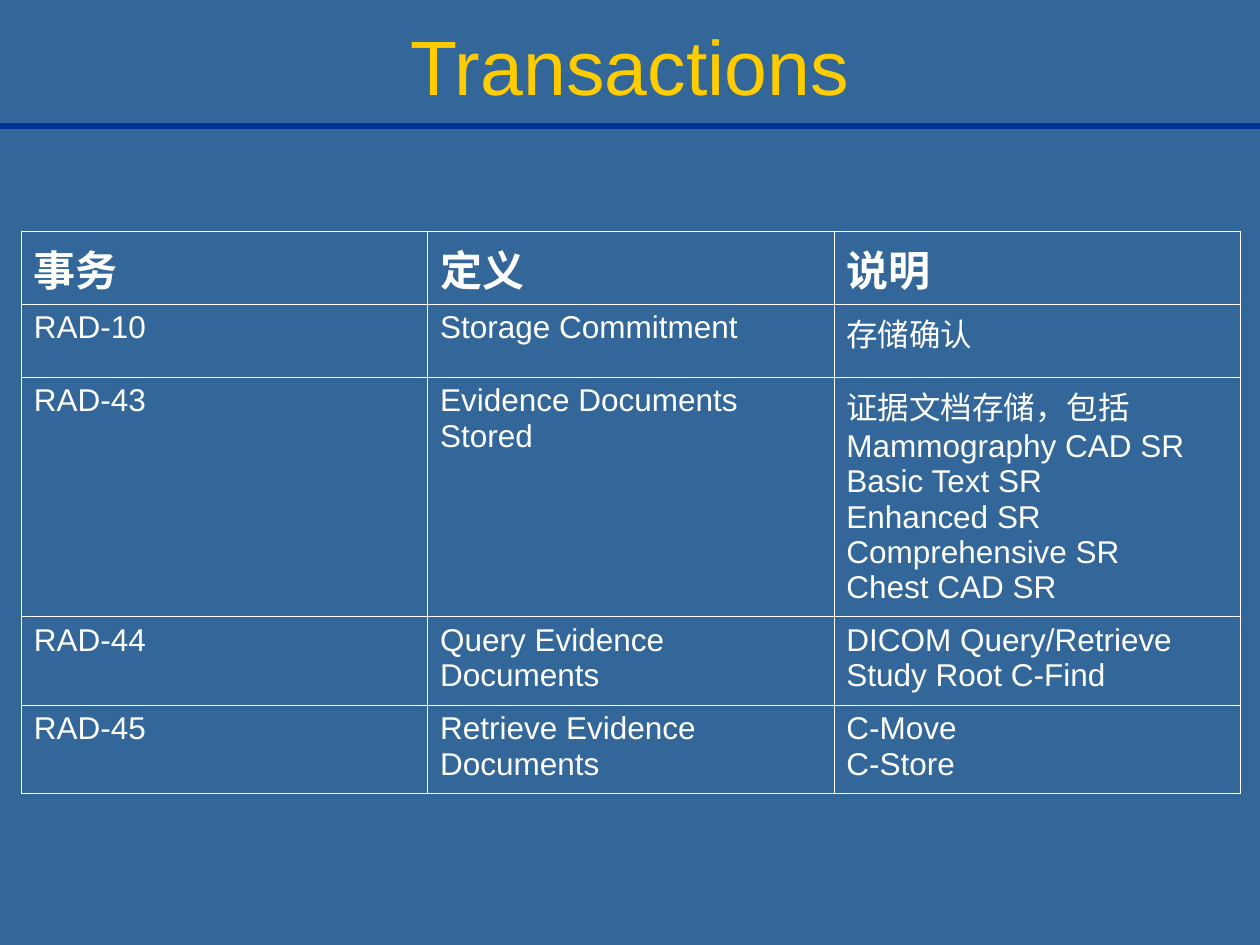
"""Build the Transactions slide: a title, a rule and a table of RAD transactions."""
import lxml.etree
import pptx
import pptx.dml.color
import pptx.enum.shapes
import pptx.enum.text
import pptx.oxml.ns
import pptx.util

Cm, Pt = pptx.util.Cm, pptx.util.Pt
qn = pptx.oxml.ns.qn
PP_ALIGN = pptx.enum.text.PP_ALIGN
MSO_ANCHOR = pptx.enum.text.MSO_ANCHOR

TITLE = "Transactions"
HEADER = ["事务", "定义", "说明"]
ROWS = [
    ["RAD-10", "Storage Commitment", "存储确认"],
    ["RAD-43", "Evidence Documents Stored",
     "证据文档存储，包括Mammography CAD SR\nBasic Text SR\nEnhanced SR\nComprehensive SR\nChest CAD SR"],
    ["RAD-44", "Query Evidence Documents", "DICOM Query/Retrieve\nStudy Root C-Find"],
    ["RAD-45", "Retrieve Evidence Documents", "C-Move\nC-Store"],
]
ROW_HEIGHTS = [1.47, 1.47, 4.83, 1.78, 1.78]
COL_WIDTH = 8.19
COLORS = {"background": "336699", "rule": "003399", "title": "FFCC00", "text": "FFFFFF"}
FONT = "Arial"


def rgb(name):
    return pptx.dml.color.RGBColor.from_string(COLORS[name])


def write(tf, text, size=18, color="text", bold=False, align=PP_ALIGN.LEFT):
    tf.word_wrap = True
    for i, line in enumerate(text.split("\n")):
        p = tf.add_paragraph() if i else tf.paragraphs[0]
        p.alignment = align
        r = p.add_run()
        r.text = line
        r.font.name, r.font.size, r.font.bold = FONT, Pt(size), bold
        r.font.color.rgb = rgb(color)


def set_borders(cell, width=0.45):
    tc_pr = cell._tc.get_or_add_tcPr()
    for i, side in enumerate(("lnL", "lnR", "lnT", "lnB")):
        ln = lxml.etree.Element(qn(f"a:{side}"), w=str(Pt(width)))
        fill = lxml.etree.SubElement(ln, qn("a:solidFill"))
        lxml.etree.SubElement(fill, qn("a:srgbClr"), val=COLORS["text"])
        tc_pr.insert(i, ln)


def add_title(s):
    sp = s.shapes.add_textbox(Cm(1.9), Cm(0.1), Cm(21.6), Cm(2.4))
    sp.text_frame.vertical_anchor = MSO_ANCHOR.MIDDLE
    write(sp.text_frame, TITLE, size=44, color="title", align=PP_ALIGN.CENTER)


def add_rule(s):
    line = s.shapes.add_connector(
        pptx.enum.shapes.MSO_CONNECTOR.STRAIGHT, 0, Cm(2.54), Cm(25.4), Cm(2.54))
    line.line.color.rgb = rgb("rule")
    line.line.width = Pt(3)
    lxml.etree.SubElement(line._element.spPr, qn("a:effectLst"))


def add_transactions(s):
    rows = [HEADER] + ROWS
    table = s.shapes.add_table(
        len(rows), len(HEADER), Cm(0.43), Cm(4.66),
        Cm(COL_WIDTH * len(HEADER)), Cm(sum(ROW_HEIGHTS))).table
    table.first_row = table.horz_banding = False
    for col in table.columns:
        col.width = Cm(COL_WIDTH)
    for i, (texts, height) in enumerate(zip(rows, ROW_HEIGHTS)):
        table.rows[i].height = Cm(height)
        for j, text in enumerate(texts):
            cell = table.cell(i, j)
            cell.fill.background()
            set_borders(cell)
            write(cell.text_frame, text, size=18 if i else 24, bold=i == 0)


def main():
    prs = pptx.Presentation()
    prs.slide_width, prs.slide_height = Cm(25.4), Cm(19.05)
    s = prs.slides.add_slide(prs.slide_layouts[6])
    s.background.fill.solid()
    s.background.fill.fore_color.rgb = rgb("background")
    add_rule(s)
    add_title(s)
    add_transactions(s)
    prs.save("out.pptx")


if __name__ == "__main__":
    main()
